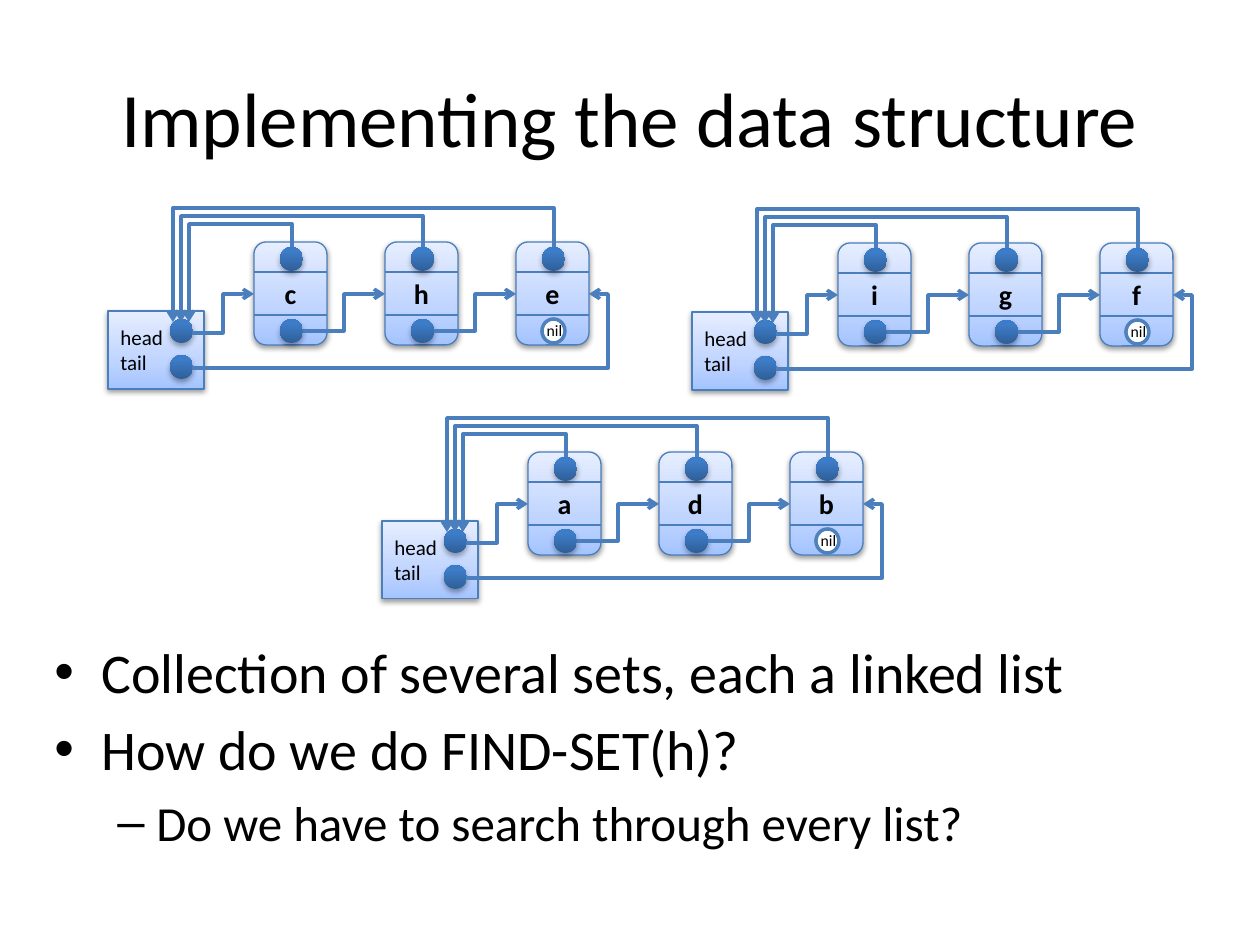
from dataclasses import dataclass
from typing import Any, Optional

from lxml.etree import SubElement
from pptx import Presentation
from pptx.dml.color import RGBColor
from pptx.enum.shapes import MSO_CONNECTOR, MSO_SHAPE
from pptx.enum.text import MSO_ANCHOR, PP_ALIGN
from pptx.oxml.ns import qn
from pptx.util import Emu, Pt

PX = 914400 // 126
FONT = "Calibri"
BLACK, WHITE, EDGE, RING = "000000", "FFFFFF", "4B7EBC", "4F81BD"
PALE = ((0, "A4C4FF"), (35, "BFD4FF"), (100, "E6EEFF"))
DEEP = ((0, "2F5F99"), (80, "3D7CC7"), (100, "3A7CCB"))
NODE_X, NODE_W, NODE_H, PITCH = 146, 73, 103, 131
DOT_W, DOT_H = 23, 24


@dataclass(frozen=True)
class LinkedSet:
    left: int
    top: int
    labels: str


@dataclass(frozen=True)
class Bullet:
    text: str
    size: int
    mark: str
    margin: int
    hang: int


SETS = (
    LinkedSet(108, 242, "che"),
    LinkedSet(692, 243, "igf"),
    LinkedSet(382, 452, "adb"),
)
BULLETS = (
    Bullet("Collection of several sets, each a linked list", 32, "•", 47, 47),
    Bullet("How do we do FIND-SET(h)?", 32, "•", 47, 47),
    Bullet("Do we have to search through every list?", 28, "–", 102, 39),
)


def px(n: float) -> Emu:
    return Emu(round(n * PX))


def rgb(value: str) -> RGBColor:
    return RGBColor.from_string(value)


def add(parent: Any, tag: str, **attrs: Any) -> Any:
    return SubElement(parent, qn(tag), {k: str(v) for k, v in attrs.items()})


def style(p: Any, size: int, bold: bool = False) -> None:
    p.font.name, p.font.size, p.font.bold = FONT, Pt(size), bold
    p.font.color.rgb = rgb(BLACK)


def textbox(shapes: Any, x: int, y: int, w: int, h: int) -> Any:
    tf = shapes.add_textbox(px(x), px(y), px(w), px(h)).text_frame
    tf.word_wrap = True
    return tf


def shape(shapes: Any, kind: MSO_SHAPE, x: int, y: int, w: int, h: int) -> Any:
    s = shapes.add_shape(kind, px(x), px(y), px(w), px(h))
    s.shadow.inherit = False
    return s


def shade(s: Any, stops: tuple, opacity: int, distance: int) -> None:
    s.fill.gradient()
    grad = s._element.spPr.find(qn("a:gradFill"))
    for child in list(grad):
        grad.remove(child)
    gs_list = add(grad, "a:gsLst")
    for pos, color in stops:
        add(add(gs_list, "a:gs", pos=pos * 1000), "a:srgbClr", val=color)
    add(grad, "a:lin", ang=16200000, scaled=0)
    effects = s._element.spPr.find(qn("a:effectLst"))
    shadow = add(effects, "a:outerShdw", blurRad=40000, dist=distance,
                 dir=5400000, rotWithShape=0)
    add(add(shadow, "a:srgbClr", val=BLACK), "a:alpha", val=opacity * 1000)


def outline(s: Any, color: str, width: float) -> None:
    s.line.color.rgb = rgb(color)
    s.line.width = Pt(width)


def box(shapes: Any, kind: MSO_SHAPE, x: int, y: int, w: int, h: int,
        text: str, size: int, align: PP_ALIGN, bold: bool = False) -> None:
    s = shape(shapes, kind, x, y, w, h)
    shade(s, PALE, 38, 20000)
    outline(s, EDGE, 0.75)
    tf = s.text_frame
    tf.text = text
    tf.vertical_anchor = MSO_ANCHOR.MIDDLE
    for p in tf.paragraphs:
        p.alignment = align
        style(p, size, bold)


def dot(shapes: Any, x: int, y: int) -> None:
    s = shape(shapes, MSO_SHAPE.OVAL, x, y, DOT_W, DOT_H)
    shade(s, DEEP, 35, 23000)
    s.line.fill.background()


def nil_mark(shapes: Any, x: int, y: int) -> None:
    s = shape(shapes, MSO_SHAPE.OVAL, x + 26, y + 77, DOT_W, DOT_H)
    s.fill.solid()
    s.fill.fore_color.rgb = rgb(WHITE)
    outline(s, RING, 2)
    tf = textbox(shapes, x + 2, y + 73, NODE_W, 32)
    p = tf.paragraphs[0]
    p.text = "nil"
    p.alignment = PP_ALIGN.CENTER
    style(p, 9)


def connector(shapes: Any, kind: MSO_CONNECTOR, x1: float, y1: float,
              x2: float, y2: float, width: float) -> Any:
    c = shapes.add_connector(kind, px(x1), px(y1), px(x2), px(y2))
    outline(c, EDGE, width)
    add(c._element.spPr, "a:effectLst")
    return c


def elbow(shapes: Any, x1: int, y1: int, x2: int, y2: int,
          bend_x: Optional[int] = None, bend_y: Optional[int] = None) -> None:
    ratio = 0.5
    ends = (x1, y1, x2, y2)
    if bend_x is not None:
        ratio = (bend_x - x1) / (x2 - x1)
    if bend_y is not None:
        ratio = (bend_y - y1) / (y2 - y1)
        cx, cy = (x1 + x2) / 2, (y1 + y2) / 2
        dx, dy = (x1 - x2) / 2, (y1 - y2) / 2
        ends = (cx - dy, cy + dx, cx + dy, cy - dx)
    c = connector(shapes, MSO_CONNECTOR.ELBOW, *ends, 2)
    sp_pr = c._element.spPr
    if bend_y is not None:
        sp_pr.find(qn("a:xfrm")).set("rot", "16200000")
    guides = sp_pr.find(qn("a:prstGeom")).find(qn("a:avLst"))
    add(guides, "a:gd", name="adj1", fmla=f"val {round(ratio * 100000)}")
    add(sp_pr.find(qn("a:ln")), "a:tailEnd", type="arrow")


def node(shapes: Any, x: int, y: int, label: str) -> None:
    group = shapes.add_group_shape().shapes
    box(group, MSO_SHAPE.ROUNDED_RECTANGLE, x, y, NODE_W, NODE_H,
        label, 16, PP_ALIGN.CENTER, True)
    for dy in (30, 73):
        connector(group, MSO_CONNECTOR.STRAIGHT,
                  x, y + dy, x + NODE_W, y + dy, 0.75)


def linked_set(shapes: Any, item: LinkedSet) -> None:
    x, y = item.left, item.top
    nodes = [x + NODE_X + i * PITCH for i in range(len(item.labels))]
    for node_x, label in zip(nodes, item.labels):
        node(shapes, node_x, y, label)
    box(shapes, MSO_SHAPE.RECTANGLE, x, y + 69, 96, 78,
        "head\ntail", 12, PP_ALIGN.LEFT)
    for dy in (77, 113):
        dot(shapes, x + 62, y + dy)
    for node_x in nodes:
        dot(shapes, node_x + 26, y + 5)
    for node_x in nodes[:-1]:
        dot(shapes, node_x + 26, y + 77)
    nil_mark(shapes, nodes[-1], y)
    elbow(shapes, x + 84, y + 126, nodes[-1] + NODE_W, y + 52, bend_x=x + 500)
    for i, node_x in enumerate(nodes):
        elbow(shapes, node_x + 38, y + 5, x + 81 - 8 * i, y + 80,
              bend_y=y - 18 - 8 * i)
    elbow(shapes, x + 84, y + 91, nodes[0], y + 52)
    for node_x, next_x in zip(nodes, nodes[1:]):
        elbow(shapes, node_x + 49, y + 89, next_x, y + 52)


def title(shapes: Any, text: str) -> None:
    tf = textbox(shapes, 63, 38, 1134, 158)
    tf.vertical_anchor = MSO_ANCHOR.MIDDLE
    p = tf.paragraphs[0]
    p.text = text
    p.alignment = PP_ALIGN.CENTER
    style(p, 44)


def bullet_list(shapes: Any) -> None:
    tf = textbox(shapes, 42, 631, 1187, 292)
    for i, item in enumerate(BULLETS):
        p = tf.add_paragraph() if i else tf.paragraphs[0]
        p.text = item.text
        p.level = int(item.mark == "–")
        p.space_before = Pt(6)
        p_pr = p._p.get_or_add_pPr()
        p_pr.set("marL", str(px(item.margin)))
        p_pr.set("indent", str(px(-item.hang)))
        add(p_pr, "a:buFont", typeface="Arial")
        add(p_pr, "a:buChar", char=item.mark)
        style(p, item.size)


prs = Presentation()
prs.slide_width, prs.slide_height = px(1260), px(945)
slide = prs.slides.add_slide(prs.slide_layouts[6])
title(slide.shapes, "Implementing the data structure")
bullet_list(slide.shapes)
for linked in SETS:
    linked_set(slide.shapes, linked)
prs.save("out.pptx")
